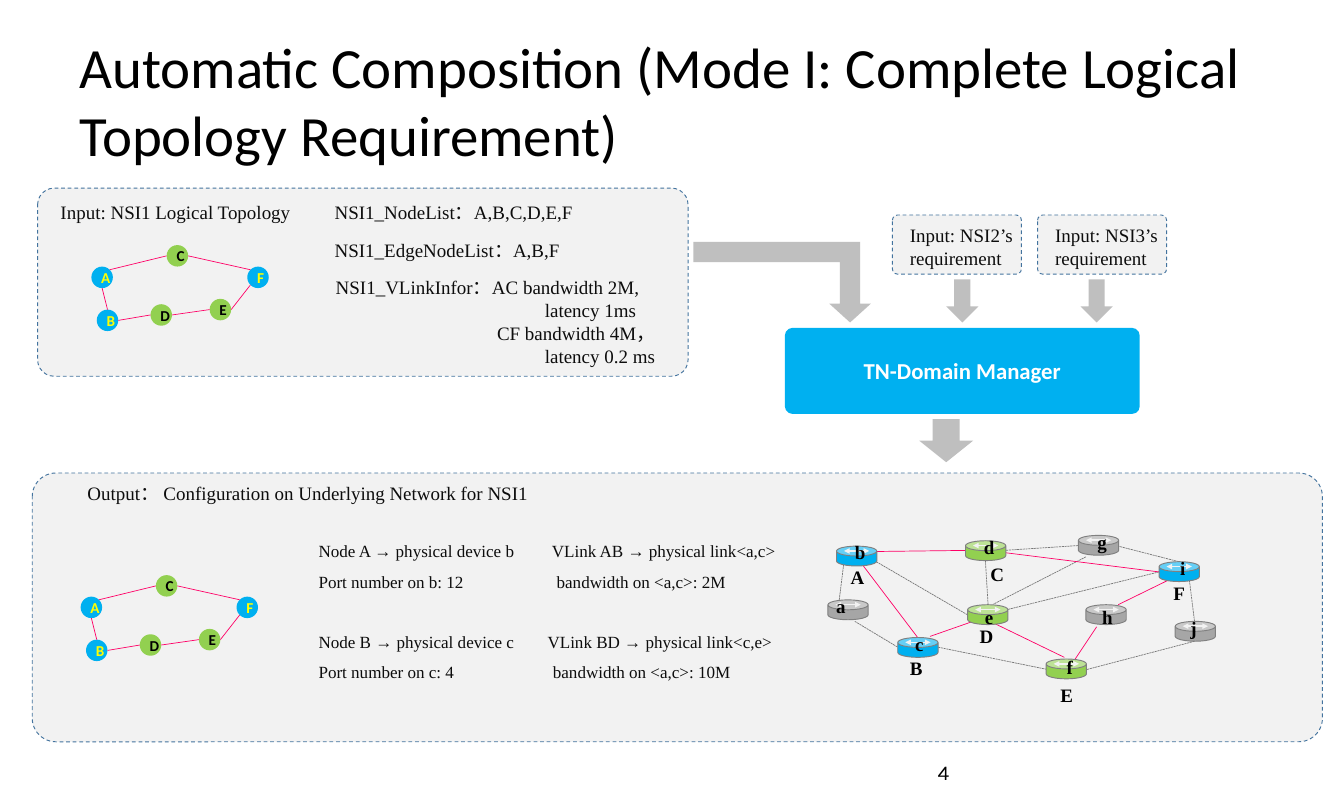
from math import cos, radians, sin
from lxml.etree import SubElement
from pptx import Presentation
from pptx.dml.color import RGBColor
from pptx.enum.dml import MSO_LINE as Dash
from pptx.enum.shapes import MSO_CONNECTOR as Connector, MSO_SHAPE as Shape
from pptx.enum.text import MSO_ANCHOR as Anchor, PP_ALIGN as Align
from pptx.oxml.ns import qn
from pptx.util import Inches, Pt

# Content; all lengths are cells of a grid of 250 columns by 150 rows
COLUMNS = 250
TITLE = "Automatic Composition (Mode I: Complete Logical Topology Requirement)"
BLUE, GREEN, GRAY, PINK = "00B0F0", "92D050", "A6A6A6", "FF0066"
SERIF, SANS = "Times New Roman", "Calibri"
INK, BLACK, SILVER = "0D0D0D", "000000", "BFBFBF"

PANELS = [(7, 35, 121, 35), (6, 88, 240, 50)]
CAPTIONS = [
    ("NSI1_NodeList：A,B,C,D,E,F", (61, 36.6, 60, 5.6)),
    ("Input: NSI1 Logical Topology", (10, 36.6, 50, 5.6)),
    ("NSI1_EdgeNodeList：A,B,F", (61, 43.7, 60, 5.6)),
    ("Output： Configuration on Underlying Network for NSI1", (15, 89, 88, 5.6)),
]
LINK_INFO = [  # text, indent
    ("NSI1_VLinkInfor：AC bandwidth 2M,", 0),
    ("latency 1ms", 38.9),
    ("CF bandwidth 4M，", 30),
    ("latency 0.2 ms", 38.9),
]
CONFIGURATION = [  # left text, right text, tab stop, space before in points
    ("Node A → physical device b", "VLink AB → physical link<a,c>", 43.4, 0),
    ("Port number on b: 12", "bandwidth on <a,c>: 2M", 44.3, 0),
    ("Node B → physical device c", "VLink BD → physical link<c,e>", 42.6, 31),
    ("Port number on c: 4", "bandwidth on <a,c>: 10M", 43.6, 0),
]
REQUIREMENTS = [("Input: NSI2’s requirement", 166, 176),
                ("Input: NSI3’s requirement", 193, 201)]  # text, panel x, arrow x

# Logical topology: node offsets, and links with the angle of each end
TOPOLOGY_ORIGINS = [(17, 49.6), (15, 111)]
NODE_SIZE = 4
NODES = {"A": (0, 0, BLUE), "B": (1, 8, BLUE), "C": (14, -4, GREEN),
         "D": (11, 7, GREEN), "E": (22, 6, GREEN), "F": (29, 0, BLUE)}
NODE_LINKS = [("A", -45, "C", 180), ("C", 0, "F", -135), ("A", 90, "B", -90),
              ("D", 180, "B", 0), ("E", 180, "D", 0), ("F", 135, "E", 0)]

# Underlying network: router corner, colour, corner of its letter
ROUTER_SIZE, LETTER_SIZE = (7.5, 3.7), (6, 5.6)
ROUTERS = {
    "a": (154, 111.6, GRAY, 153.4, 110), "b": (155.6, 101.6, BLUE, 157, 100),
    "c": (167, 118.6, BLUE, 168, 117), "d": (179.6, 100.6, GREEN, 181, 99.1),
    "e": (180, 112.5, GREEN, 181, 112), "f": (194.6, 122.6, GREEN, 196, 121.4),
    "g": (200.6, 99.6, GRAY, 202, 98), "h": (202, 112.5, GRAY, 203, 112),
    "i": (215.6, 104.5, BLUE, 217, 103), "j": (218.6, 115.6, GRAY, 219, 114),
}
ROLES = {"A": (157, 104.5), "B": (168, 121.5), "C": (183, 104),
         "D": (181, 115.6), "E": (196, 126.6), "F": (217, 107.6)}
USED_LINKS = [
    (160, 104.5, 170.7, 118.6), (200, 122.6, 204, 116.6), (208, 112.5, 218, 107.6),
    (163, 102.6, 179.6, 102.4), (198, 122.3, 185, 116), (181, 115.6, 173, 118.4),
    (186, 102.7, 215.6, 106.4),
]
SPARE_LINKS = [
    (163, 104.5, 180, 114.4), (187, 113.5, 215.6, 106.4), (174.5, 120.4, 194.6, 124.5),
    (157, 104.5, 156, 112.5), (159, 115.6, 167, 120.4), (183.3, 104.3, 183.8, 112.5),
    (200.5, 101.5, 186.7, 102.4), (219.3, 104.5, 208, 101.6),
    (222.2, 119.3, 202, 124.6), (222.2, 115.6, 221, 106), (202, 103.6, 184.8, 112.4),
]

deck = Presentation()
deck.slide_width, deck.slide_height = Inches(19.69), Inches(11.81)
page = deck.slides.add_slide(deck.slide_layouts[6])


def cells(*lengths):
    return [round(length * deck.slide_width / COLUMNS) for length in lengths]


def color(value):
    return RGBColor.from_string(value)


def write(box, text, font=SERIF, size=20, ink=INK, bold=False, align=Align.LEFT,
          anchor=Anchor.TOP, inset=None):
    """Fill a box with one paragraph per line and return the paragraphs."""
    frame = box.text_frame
    frame.word_wrap, frame.vertical_anchor = True, anchor
    if inset is not None:
        frame.margin_left = frame.margin_right = Inches(inset)
        frame.margin_top = frame.margin_bottom = Inches(inset / 2)
    for index, line in enumerate(text.split("\n")):
        para = frame.add_paragraph() if index else frame.paragraphs[0]
        para.alignment = align
        span = para.add_run()
        span.text = line
        span.font.name, span.font.size, span.font.bold = font, Pt(size), bold
        span.font.color.rgb = color(ink)
    return frame.paragraphs


def add_text(text, area, **style):
    return write(page.shapes.add_textbox(*cells(*area)), text, **style)


def add_shape(kind, area, fill, line=None, dash=None, adjust=()):
    shape = page.shapes.add_shape(kind, *cells(*area))
    shape.shadow.inherit = False
    shape.fill.solid()
    shape.fill.fore_color.rgb = color(fill)
    if line:
        shape.line.color.rgb, shape.line.width = color(line), Pt(1)
        shape.line.dash_style = dash
    else:
        shape.line.fill.background()
    for index, value in enumerate(adjust):
        shape.adjustments[index] = value
    return shape


def add_panel(area):
    return add_shape(Shape.ROUNDED_RECTANGLE, area, "F2F2F2", "43739E", Dash.DASH, [0.088])


def add_link(ends, ink=PINK, width=0.75, dash=None, arrows=False):
    link = page.shapes.add_connector(Connector.STRAIGHT, *cells(*ends))
    link.line.color.rgb, link.line.width = color(ink), Pt(width)
    if dash:
        link.line.dash_style = dash
    if arrows:
        for tag in ("a:headEnd", "a:tailEnd"):
            SubElement(link.line._get_or_add_ln(), qn(tag), type="triangle")
    SubElement(link._element.spPr, qn("a:effectLst"))


def rim(origin, name, angle):
    """Point on the circle of a node at an angle."""
    radius = NODE_SIZE / 2
    x, y, _ = NODES[name]
    return (origin[0] + x + radius + radius * cos(radians(angle)),
            origin[1] + y + radius + radius * sin(radians(angle)))


def add_topology(origin):
    for name, (x, y, fill) in NODES.items():
        area = (origin[0] + x, origin[1] + y, NODE_SIZE, NODE_SIZE)
        write(add_shape(Shape.OVAL, area, fill), name, font=SANS, size=16, bold=True,
              ink="FFFF00" if fill == BLUE else BLACK, align=Align.CENTER,
              anchor=Anchor.MIDDLE)
    for start, start_angle, end, end_angle in NODE_LINKS:
        add_link(rim(origin, start, start_angle) + rim(origin, end, end_angle))


# Title and page number
add_text(TITLE, (12.5, 6, 225, 25), font=SANS, size=60, ink=BLACK,
         anchor=Anchor.MIDDLE, inset=0.18)
add_text("4", (174.4, 142, 48, 8), font="Karla", size=22, ink=BLACK, inset=0)[0].line_spacing = 0.85

# Input and output panels
for panel in PANELS:
    add_panel(panel)
for caption, area in CAPTIONS:
    add_text(caption, area)
for origin in TOPOLOGY_ORIGINS:
    add_topology(origin)

info = add_text("\n".join(text for text, _ in LINK_INFO), (61.2, 50.7, 63.8, 18.4))
for para, (_, indent) in zip(info, LINK_INFO):
    para._p.get_or_add_pPr().set("marL", str(cells(indent)[0]))

rows = add_text("\n".join(f"{left}\t{right}" for left, right, _, _ in CONFIGURATION),
                (58, 98, 90, 30), size=18)
for para, (_, _, stop, gap) in zip(rows, CONFIGURATION):
    para.line_spacing, para.space_before = 1.5, Pt(gap)
    tabs = SubElement(para._p.get_or_add_pPr(), qn("a:tabLst"))
    SubElement(tabs, qn("a:tab"), pos=str(cells(stop)[0]), algn="l")

# Manager, its other inputs and the flow arrows
manager = add_shape(Shape.ROUNDED_RECTANGLE, (146, 61, 66, 16), BLUE, adjust=[0.088])
write(manager, "TN-Domain Manager", font=SANS, size=24, ink="FFFFFF", bold=True,
      align=Align.CENTER, anchor=Anchor.MIDDLE, inset=0.15)
bend = add_shape(Shape.BENT_UP_ARROW, (129, 45, 33, 15), SILVER, adjust=[0.25, 0.258, 0.234])
bend._element.spPr.find(qn("a:xfrm")).set("flipV", "1")
add_shape(Shape.DOWN_ARROW, (171, 78, 10, 8), SILVER)
for text, panel_x, arrow_x in REQUIREMENTS:
    add_shape(Shape.DOWN_ARROW, (arrow_x, 52, 6, 8), SILVER)
    add_panel((panel_x, 40, 24, 11))
    add_text(text, (panel_x + 2, 41, 26, 9.8))

# Underlying network
for ends in SPARE_LINKS:
    add_link(ends, ink="777777", dash=Dash.SQUARE_DOT)
for ends in USED_LINKS:
    add_link(ends)
for x, y, fill, _, _ in ROUTERS.values():
    add_shape(Shape.CAN, (x, y, *ROUTER_SIZE), fill, "808080", adjust=[0.5])
    add_link((x + 1.4, y + 0.9, x + 6.1, y + 0.9), ink="F2F2F2", width=1.5, arrows=True)
for name, (_, _, _, x, y) in ROUTERS.items():
    add_text(name, (x, y, *LETTER_SIZE), ink=BLACK, bold=True, align=Align.CENTER)
for name, corner in ROLES.items():
    add_text(name, (*corner, *LETTER_SIZE), ink=BLACK, bold=True)

deck.save("out.pptx")
